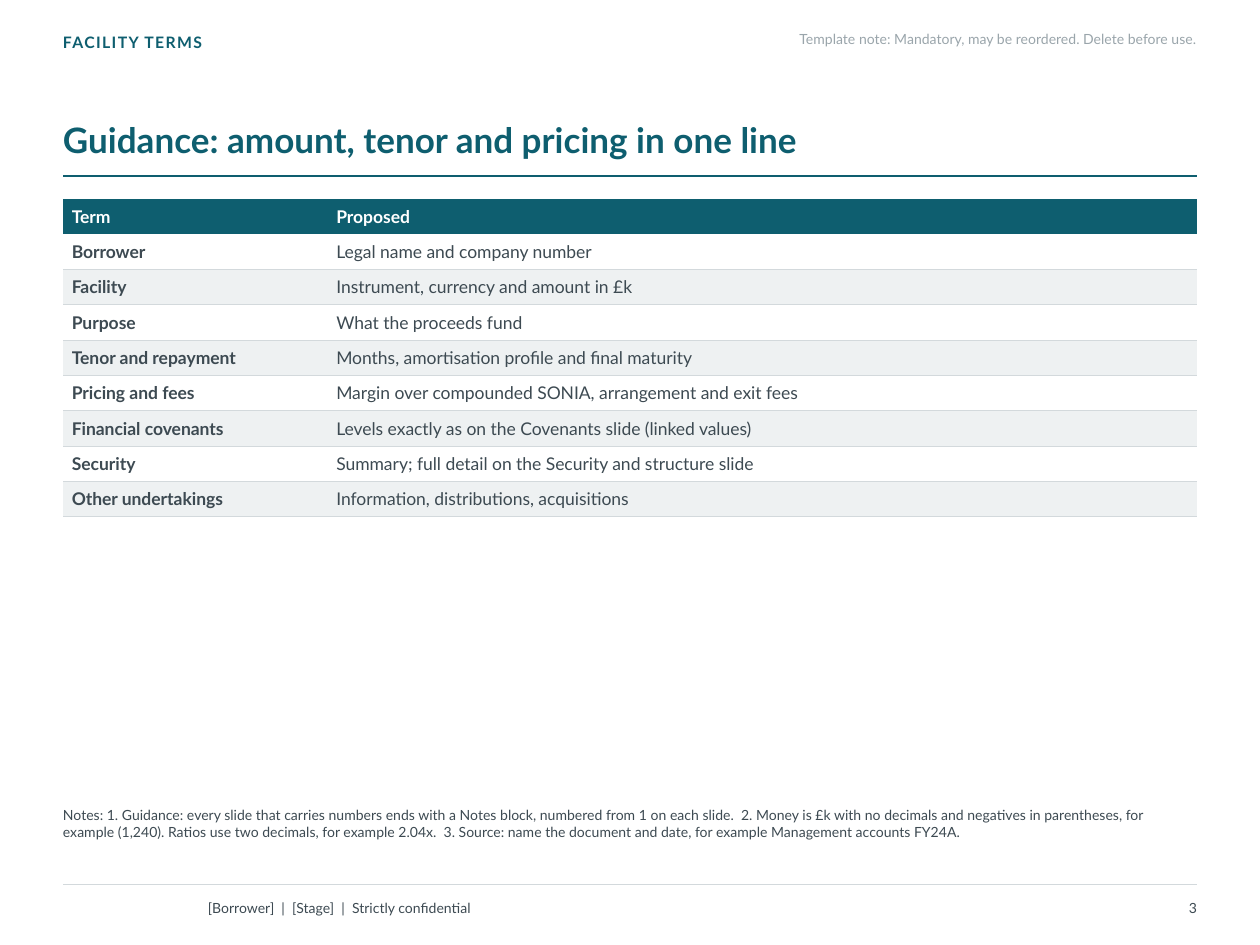
from dataclasses import dataclass

from lxml import etree
from pptx import Presentation
from pptx.dml.color import RGBColor
from pptx.enum.shapes import MSO_CONNECTOR
from pptx.enum.text import MSO_ANCHOR, PP_ALIGN
from pptx.oxml.ns import qn
from pptx.util import Pt

TEAL = RGBColor(0x0E, 0x5E, 0x6F)
SLATE = RGBColor(0x3D, 0x4A, 0x52)
GREY = RGBColor(0x9A, 0xA5, 0xAB)
RULE = RGBColor(0xD3, 0xD9, 0xDC)
BAND = RGBColor(0xEE, 0xF1, 0xF2)
WHITE = RGBColor(0xFF, 0xFF, 0xFF)

LEFT, RIGHT = PP_ALIGN.LEFT, PP_ALIGN.RIGHT
TOP, MIDDLE, BOTTOM = MSO_ANCHOR.TOP, MSO_ANCHOR.MIDDLE, MSO_ANCHOR.BOTTOM
STRAIGHT = MSO_CONNECTOR.STRAIGHT

FONT = "Lato"
MARGIN, CONTENT_WIDTH = 36, 648
TABLE_TOP, ROW_HEIGHT = 113.76, 20.16
COLUMN_WIDTHS = (151.2, 496.8)

TERMS = [
    ("Term", "Proposed"),
    ("Borrower", "Legal name and company number"),
    ("Facility", "Instrument, currency and amount in £k"),
    ("Purpose", "What the proceeds fund"),
    ("Tenor and repayment", "Months, amortisation profile and final maturity"),
    ("Pricing and fees", "Margin over compounded SONIA, arrangement and exit fees"),
    ("Financial covenants", "Levels exactly as on the Covenants slide (linked values)"),
    ("Security", "Summary; full detail on the Security and structure slide"),
    ("Other undertakings", "Information, distributions, acquisitions"),
]


@dataclass(frozen=True)
class Label:
    text: str
    left: float
    top: float
    width: float
    height: float
    size: float = 8
    color: RGBColor = SLATE
    bold: bool = False
    align: PP_ALIGN = LEFT
    anchor: MSO_ANCHOR = TOP
    bottom_inset: float = 0
    line_spacing: float = 1
    tracking: float = 0


LABELS = [
    Label("FACILITY TERMS", MARGIN, 18.72, 504, 17.28, size=9, color=TEAL,
          bold=True, tracking=0.8),
    Label("Guidance: amount, tenor and pricing in one line", MARGIN, 36,
          CONTENT_WIDTH, 59.04, size=20, color=TEAL, bold=True, anchor=BOTTOM,
          bottom_inset=2.88, line_spacing=0.92),
    Label("Notes: 1. Guidance: every slide that carries numbers ends with a "
          "Notes block, numbered from 1 on each slide.  2. Money is £k with no "
          "decimals and negatives in parentheses, for example (1,240). Ratios "
          "use two decimals, for example 2.04x.  3. Source: name the document "
          "and date, for example Management accounts FY24A.",
          MARGIN, 460.8, CONTENT_WIDTH, 41.76),
    Label("[Borrower]  |  [Stage]  |  Strictly confidential", 118.8, 509.76,
          403.2, 18.72, anchor=MIDDLE),
    Label("3", 612, 509.76, 72, 18.72, align=RIGHT, anchor=MIDDLE),
    Label("Template note: Mandatory, may be reordered. Delete before use.",
          388.8, 17.28, 295.2, 17.28, color=GREY, align=RIGHT),
]


def set_font(paragraph, size: float, color: RGBColor, bold: bool) -> None:
    font = paragraph.font
    font.name, font.size, font.bold = FONT, Pt(size), bold
    font.color.rgb = color


def add_label(page, label: Label) -> None:
    box = page.shapes.add_textbox(Pt(label.left), Pt(label.top),
                                  Pt(label.width), Pt(label.height))
    frame = box.text_frame
    frame.word_wrap = True
    frame.vertical_anchor = label.anchor
    frame.margin_left = frame.margin_right = frame.margin_top = 0
    frame.margin_bottom = Pt(label.bottom_inset)
    paragraph = frame.paragraphs[0]
    span = paragraph.add_run()
    span.text = label.text
    paragraph.alignment = label.align
    paragraph.line_spacing = label.line_spacing
    set_font(paragraph, label.size, label.color, label.bold)
    if label.tracking:
        span.font._element.set("spc", str(round(label.tracking * 100)))


def add_rule(page, y: float, color: RGBColor, weight: float) -> None:
    rule = page.shapes.add_connector(STRAIGHT, Pt(MARGIN), Pt(y),
                                     Pt(MARGIN + CONTENT_WIDTH), Pt(y))
    rule.line.color.rgb = color
    rule.line.width = Pt(weight)
    etree.SubElement(rule._element.spPr, qn("a:effectLst"))


def set_borders(cell, ruled_sides: str) -> None:
    """Rule the named sides (T, B) and clear the others."""
    properties = cell._tc.get_or_add_tcPr()
    for index, side in enumerate("LRTB"):
        border = etree.Element(qn(f"a:ln{side}"), w=str(Pt(0.5)))
        if side in ruled_sides:
            fill = etree.SubElement(border, qn("a:solidFill"))
            etree.SubElement(fill, qn("a:srgbClr"), val=str(RULE))
        else:
            etree.SubElement(border, qn("a:noFill"))
        properties.insert(index, border)


def fill_cell(cell, text: str, row: int, column: int) -> None:
    header = row == 0
    cell.vertical_anchor = MIDDLE
    cell.margin_left = cell.margin_right = Pt(5.04)
    cell.margin_top = cell.margin_bottom = Pt(2.88)
    cell.text = text
    set_font(cell.text_frame.paragraphs[0], 10, WHITE if header else SLATE,
             header or column == 0)
    if header or row % 2 == 0:
        cell.fill.solid()
        cell.fill.fore_color.rgb = TEAL if header else BAND
    else:
        cell.fill.background()
    set_borders(cell, "" if header else "B" if row == 1 else "TB")


def add_terms_table(page) -> None:
    table = page.shapes.add_table(
        len(TERMS), len(COLUMN_WIDTHS), Pt(MARGIN), Pt(TABLE_TOP),
        Pt(CONTENT_WIDTH), Pt(ROW_HEIGHT * len(TERMS))).table
    table.first_row = table.horz_banding = False
    for column, width in zip(table.columns, COLUMN_WIDTHS):
        column.width = Pt(width)
    for row, texts in enumerate(TERMS):
        table.rows[row].height = Pt(ROW_HEIGHT)
        for column, text in enumerate(texts):
            fill_cell(table.cell(row, column), text, row, column)


def main() -> None:
    deck = Presentation()
    deck.slide_width, deck.slide_height = Pt(720), Pt(540)
    page = deck.slides.add_slide(deck.slide_layouts[6])
    add_rule(page, 505.44, RULE, 0.75)
    add_rule(page, 100.8, TEAL, 1.25)
    add_terms_table(page)
    for label in LABELS:
        add_label(page, label)
    deck.save("out.pptx")


if __name__ == "__main__":
    main()
